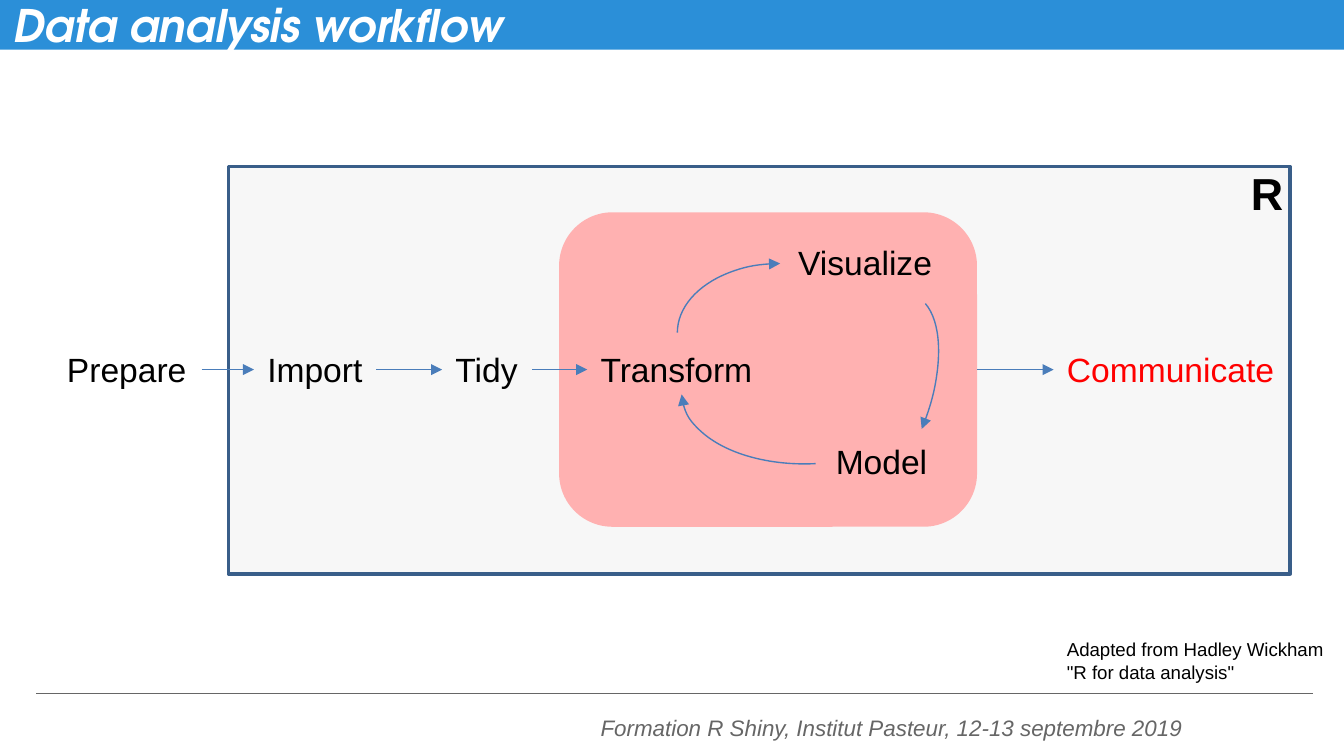
from lxml import etree
from pptx import Presentation
from pptx.dml.color import RGBColor
from pptx.enum.shapes import MSO_CONNECTOR, MSO_SHAPE
from pptx.enum.text import MSO_ANCHOR, MSO_AUTO_SIZE, PP_ALIGN
from pptx.oxml.ns import qn
from pptx.util import Inches, Pt

RECT, ROUNDED, ARC = MSO_SHAPE.RECTANGLE, MSO_SHAPE.ROUNDED_RECTANGLE, MSO_SHAPE.ARC
STRAIGHT = MSO_CONNECTOR.STRAIGHT
TOP, MIDDLE = MSO_ANCHOR.TOP, MSO_ANCHOR.MIDDLE
LEFT = PP_ALIGN.LEFT
FIT_SHAPE, NO_FIT = MSO_AUTO_SIZE.SHAPE_TO_FIT_TEXT, MSO_AUTO_SIZE.NONE

COLORS = {
    "banner": "238BD7", "white": "FFFFFF", "black": "000000", "footer": "666666",
    "panel": "D8D8D8", "panel_edge": "395E89", "cycle": "FFB1B1",
    "arrow": "4A7DBA", "highlight": "FF0000",
}
ASPECT = 9 / 16
WIDTH = 10
HEIGHT = WIDTH * ASPECT
COLUMNS = 100
ROWS = COLUMNS * ASPECT
FLOW_ROW = 25.5
LABEL_HEIGHT = 4
ARROW_ROW = FLOW_ROW + LABEL_HEIGHT / 2


def color(name):
    return RGBColor.from_string(COLORS[name])


def write_text(frame, text, size=18, font="Arial", ink="black", bold=False,
               italic=False, anchor=TOP, inset=0.05, wrap=False, fit=FIT_SHAPE):
    frame.word_wrap, frame.auto_size, frame.vertical_anchor = wrap, fit, anchor
    frame.margin_left = frame.margin_right = Inches(0.1)
    frame.margin_top = frame.margin_bottom = Inches(inset)
    for index, line in enumerate(text.split("\n")):
        paragraph = frame.add_paragraph() if index else frame.paragraphs[0]
        paragraph.alignment = LEFT
        run = paragraph.add_run()
        run.text = line
        run.font.size, run.font.name = Pt(size), font
        run.font.bold, run.font.italic = bold, italic
        run.font.color.rgb = color(ink)


class SlideBuilder:
    """Places elements on a grid of COLUMNS by ROWS."""

    def __init__(self, presentation):
        self.slide = presentation.slides.add_slide(presentation.slide_layouts[6])
        self.column = presentation.slide_width / COLUMNS
        self.row = presentation.slide_height / ROWS

    def place(self, *lengths):
        """Turn alternating columns and rows into slide lengths."""
        units = (self.column, self.row) * 2
        return [round(length * unit) for length, unit in zip(lengths, units)]

    def stroke(self, line, ink, width, arrow=False):
        line.color.rgb = color(ink)
        line.width = Pt(width)
        if arrow:
            tail = etree.SubElement(line._get_or_add_ln(), qn("a:tailEnd"))
            tail.set("type", "triangle")

    def block(self, kind, area, fill, opacity=100, edge=None):
        shape = self.slide.shapes.add_shape(kind, *self.place(*area))
        shape.shadow.inherit = False
        shape.fill.solid()
        shape.fill.fore_color.rgb = color(fill)
        if opacity < 100:
            tint = shape.fill._xPr.find(f".//{qn('a:srgbClr')}")
            etree.SubElement(tint, qn("a:alpha")).set("val", str(opacity * 1000))
        if edge:
            self.stroke(shape.line, edge, 2)
        else:
            shape.line.fill.background()
        return shape

    def label(self, text, area, **style):
        box = self.slide.shapes.add_textbox(*self.place(*area))
        write_text(box.text_frame, text, **style)

    def line(self, start, end, row, ink, arrow=False):
        connector = self.slide.shapes.add_connector(
            STRAIGHT, *self.place(start, row, end, row))
        self.stroke(connector.line, ink, 0.75, arrow)
        etree.SubElement(connector._element.spPr, qn("a:effectLst"))

    def curved_arrow(self, area, rotation, start_angle):
        arc = self.slide.shapes.add_shape(ARC, *self.place(*area))
        arc.shadow.inherit = False
        arc.fill.background()
        arc.rotation = rotation
        arc.adjustments[0], arc.adjustments[1] = start_angle, 0
        self.stroke(arc.line, "arrow", 0.75, arrow=True)


def main():
    presentation = Presentation()
    presentation.slide_width, presentation.slide_height = Inches(WIDTH), Inches(HEIGHT)
    builder = SlideBuilder(presentation)

    builder.line(2.7, 97.7, 51.6, "footer")
    builder.label("Formation R Shiny, Institut Pasteur, 12-13 septembre 2019",
                  (43.7, 52.7, 47.1, 2.8), size=12, ink="footer", italic=True,
                  anchor=MIDDLE, inset=0.1, wrap=True, fit=NO_FIT)
    banner = builder.block(RECT, (0, -0.1, COLUMNS, 3.8), "banner", opacity=96)
    write_text(banner.text_frame, "Data analysis workflow", size=24,
               font="TeX Gyre Adventor", ink="white", bold=True, italic=True,
               anchor=MIDDLE, inset=0.1, wrap=True, fit=NO_FIT)

    builder.block(RECT, (17, 12.4, 79, 30.3), "panel", opacity=20, edge="panel_edge")
    cycle = builder.block(ROUNDED, (41.6, 15.8, 31.1, 23.4), "cycle")
    cycle.adjustments[0] = 0.17

    for step, left, top, width, ink in (
        ("Import", 18.9, FLOW_ROW, 9.2, "black"),
        ("Prepare", 4, FLOW_ROW, 11, "black"),
        ("Tidy", 32.9, FLOW_ROW, 7.2, "black"),
        ("Visualize", 58.4, 17.5, 12.1, "black"),
        ("Transform", 43.7, FLOW_ROW, 13.4, "black"),
        ("Model", 61.2, 32.3, 8.9, "black"),
        ("Communicate", 78.4, FLOW_ROW, 17.6, "highlight"),
    ):
        builder.label(step, (left, top, width, LABEL_HEIGHT), ink=ink)

    for area, rotation, start_angle in (
        ((52.9, 17.1, 10.3, 15.3), 270, 162),
        ((60.3, 21.3, 8.6, 18), 22.2, 166.01),
        ((50.7, 23.2, 19.4, 11.3), 177.1, 162),
    ):
        builder.curved_arrow(area, rotation, start_angle)

    for start, end in ((15, 18.9), (28, 32.9), (39.6, 43.7), (72.7, 78.4)):
        builder.line(start, end, ARROW_ROW, "arrow", arrow=True)

    builder.label("R", (92.1, 11.8, 4.4, 5.1), size=24, bold=True)
    builder.label('Adapted from Hadley Wickham\n"R for data analysis"',
                  (78.4, 47, 21.6, 4.4), size=10)
    presentation.save("out.pptx")


if __name__ == "__main__":
    main()
